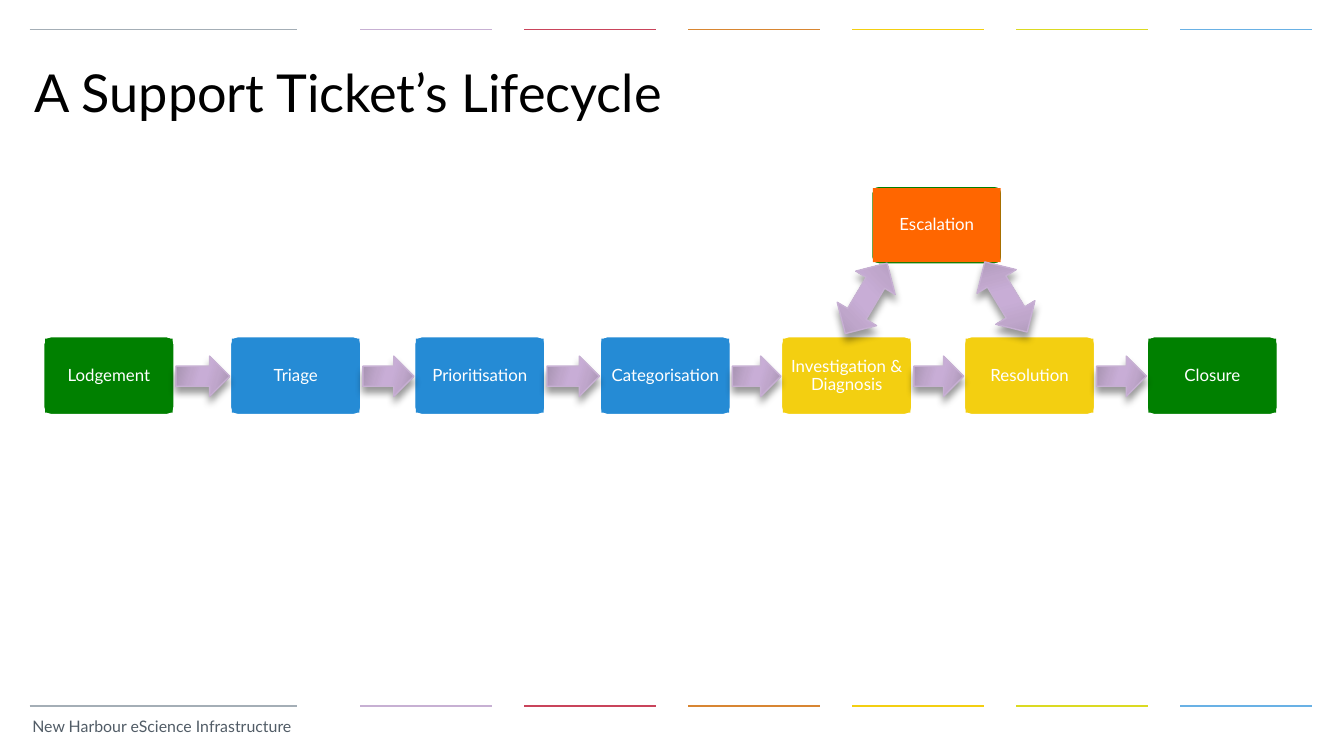
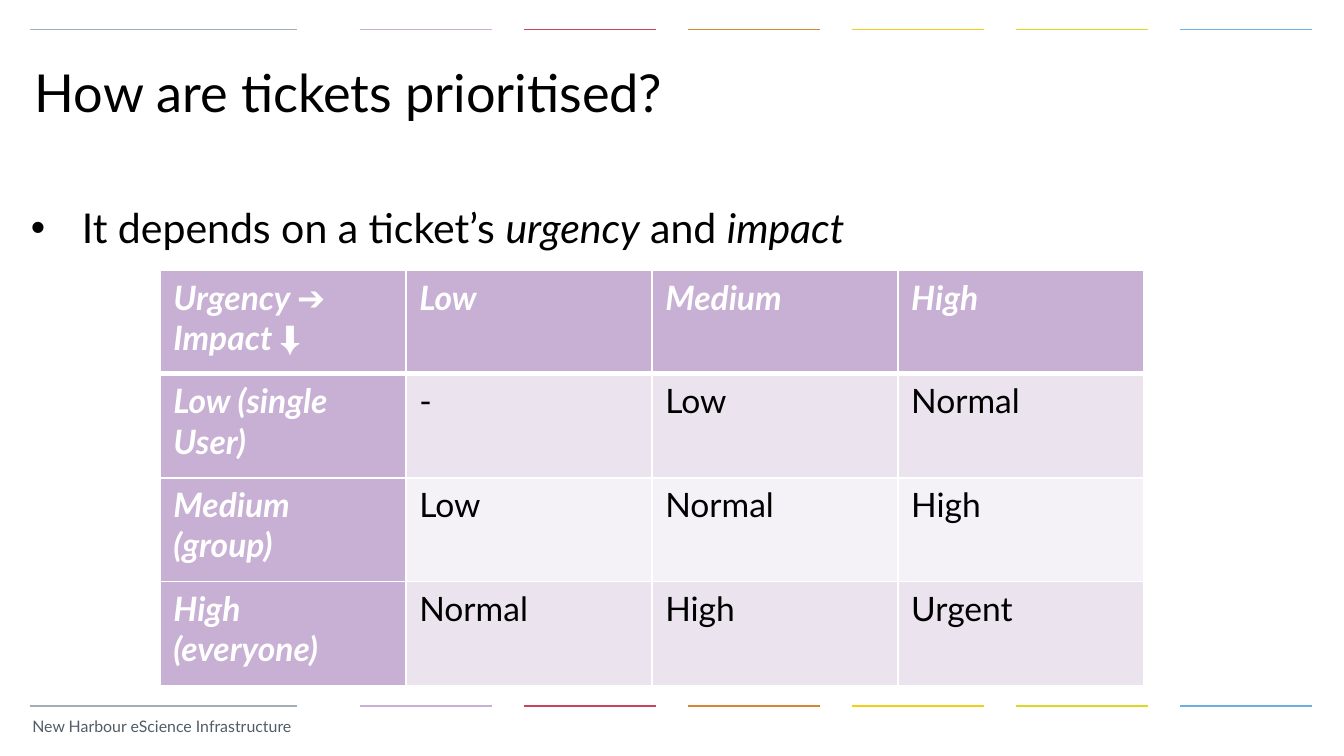
"""Build two slides on the lifecycle and the prioritisation of support tickets."""
from dataclasses import dataclass

from pptx import Presentation
from pptx.dml.color import RGBColor
from pptx.enum.shapes import MSO_CONNECTOR, MSO_SHAPE
from pptx.enum.text import MSO_ANCHOR, PP_ALIGN
from pptx.oxml import parse_xml
from pptx.oxml.ns import nsdecls
from pptx.util import Inches, Pt


@dataclass(frozen=True)
class Theme:
    """Colours, fonts and type sizes of the deck."""
    font: str = "Lato"
    symbol_font: str = "Arial"
    black: str = "000000"
    white: str = "FFFFFF"
    slate: str = "515C66"
    grey: str = "A4AEB6"
    lilac: str = "C7B0D3"
    green: str = "008000"
    blue: str = "258BD5"
    yellow: str = "F3CF11"
    orange: str = "FF6600"
    odd_row: str = "EBE4EF"
    even_row: str = "F5F2F7"
    title_size: float = 28
    body_size: float = 22
    table_size: float = 18
    box_size: float = 9
    footer_size: float = 8.5


THEME = Theme()

FOOTER = "New Harbour eScience Infrastructure"
BAND_COLOURS = [THEME.lilac, "C9445B", "D88632", THEME.yellow, "DBDA22", "69B1E5"]
BAND_TOPS = [0.22, 5.25]

LIFECYCLE_TITLE = "A Support Ticket’s Lifecycle"
STEPS = [
    ("Lodgement", 0.32, THEME.green),
    ("Triage", 1.71, THEME.blue),
    ("Prioritisation", 3.08, THEME.blue),
    ("Categorisation", 4.46, THEME.blue),
    ("Investigation & Diagnosis", 5.81, THEME.yellow),
    ("Resolution", 7.17, THEME.yellow),
    ("Closure", 8.53, THEME.green),
]
STEP_TOP = 2.5
BOX_WIDTH, BOX_HEIGHT = 0.98, 0.59
FACE_WIDTH, FACE_HEIGHT = 0.95, 0.55
ESCALATION_ARROWS = [(6.14, 2.05, 300.7), (7.18, 2.04, 58.8)]
ARROW_GRADIENT = [(0, "A390AD"), (30, "BFA6CB"), (45, "C8ADD6"),
                  (55, "C8ADD6"), (73, "BFA6CB"), (100, "A390AD")]

PRIORITY_TITLE = "How are tickets prioritised?"
SYMBOL = {"font": THEME.symbol_font, "italic": False}
PRIORITY_BULLET = [
    ("It depends on a ticket’s ", {}),
    ("urgency", {"italic": True}),
    (" and ", {}),
    ("impact", {"italic": True}),
]
PRIORITY_ROWS = [
    [[("Urgency ", {}), ("➔", SYMBOL), (" Impact ", {}), ("⬇", SYMBOL)],
     "Low", "Medium", "High"],
    ["Low (single User)", "-", "Low", "Normal"],
    ["Medium (group)", "Low", "Normal", "High"],
    ["High (everyone)", "Normal", "High", "Urgent"],
]


def write_text(frame, text, *, size, colour, bold=False, italic=False, align=None,
               spacing=None, margin=None, wrap=True, anchor=MSO_ANCHOR.TOP):
    """Write a string, or runs with their own overrides, as one paragraph."""
    if margin is not None:
        frame.margin_left = frame.margin_right = Inches(margin)
        frame.margin_top = frame.margin_bottom = Inches(margin)
    frame.word_wrap = wrap
    frame.vertical_anchor = anchor
    paragraph = frame.paragraphs[0]
    paragraph.alignment = align
    paragraph.line_spacing = spacing
    for content, changes in [(text, {})] if isinstance(text, str) else text:
        run = paragraph.add_run()
        run.text = content
        run.font.name = changes.get("font", THEME.font)
        run.font.size = Pt(size)
        run.font.bold = bold
        run.font.italic = changes.get("italic", italic)
        run.font.color.rgb = RGBColor.from_string(colour)
    return paragraph


def add_text(slide, text, left, top, width, height, **text_format):
    """Add a text box without insets."""
    box = slide.shapes.add_textbox(*map(Inches, (left, top, width, height)))
    return write_text(box.text_frame, text, margin=0, **text_format)


def add_band(slide, left, right, top, colour):
    """Draw one coloured rule."""
    band = slide.shapes.add_connector(
        MSO_CONNECTOR.STRAIGHT, *map(Inches, (left, top, right, top)))
    band.line.color.rgb = RGBColor.from_string(colour)
    band.line.width = Pt(1)
    band._element.spPr.append(parse_xml(f"<a:effectLst {nsdecls('a')}/>"))


def add_slide(presentation, title):
    """Add a slide with its bands, footer and title."""
    slide = presentation.slides.add_slide(presentation.slide_layouts[6])
    for top in BAND_TOPS:
        add_band(slide, 0.22, 2.21, top, THEME.grey)
        for index, colour in enumerate(BAND_COLOURS):
            left = 2.68 + 1.22 * index
            add_band(slide, left, left + 0.98, top, colour)
    add_text(slide, FOOTER, 0.24, 5.33, 1.98, 0.14, wrap=False,
             size=THEME.footer_size, colour=THEME.slate)
    add_text(slide, title, 0.26, 0.53, 7.32, 0.37, wrap=False,
             size=THEME.title_size, colour=THEME.black, spacing=Pt(THEME.title_size))
    return slide


def add_shape(shapes, kind, left, top, width, height, fill):
    """Add a filled preset shape without line or shadow."""
    shape = shapes.add_shape(kind, *map(Inches, (left, top, width, height)))
    shape.shadow.inherit = False
    shape.fill.solid()
    shape.fill.fore_color.rgb = RGBColor.from_string(fill)
    shape.line.fill.background()
    return shape


def outline(shape, colour, width):
    """Give a shape a solid outline."""
    shape.line.color.rgb = RGBColor.from_string(colour)
    shape.line.width = Pt(width)


def add_box(slide, label, left, top, face_colour, frame_colour):
    """Add a rounded frame with a labelled face centred on it."""
    shapes = slide.shapes.add_group_shape().shapes
    frame = add_shape(shapes, MSO_SHAPE.ROUNDED_RECTANGLE, left, top,
                      BOX_WIDTH, BOX_HEIGHT, frame_colour)
    frame.adjustments[0] = 0.1
    outline(frame, THEME.white, 1.5)
    face = add_shape(shapes, MSO_SHAPE.RECTANGLE,
                     left + (BOX_WIDTH - FACE_WIDTH) / 2,
                     top + (BOX_HEIGHT - FACE_HEIGHT) / 2,
                     FACE_WIDTH, FACE_HEIGHT, face_colour)
    write_text(face.text_frame, label, size=THEME.box_size, colour=THEME.white,
               align=PP_ALIGN.CENTER, spacing=0.9, margin=0.04,
               anchor=MSO_ANCHOR.MIDDLE)


def add_arrow(slide, kind, left, top, width, height):
    """Add a lilac gradient arrow with a soft shadow."""
    arrow = add_shape(slide.shapes, kind, left, top, width, height, THEME.lilac)
    outline(arrow, THEME.lilac, 0.75)
    stops = "".join(
        f'<a:gs pos="{position * 1000}"><a:srgbClr val="{colour}"/></a:gs>'
        for position, colour in ARROW_GRADIENT)
    gradient = parse_xml(
        f'<a:gradFill {nsdecls("a")} rotWithShape="1"><a:gsLst>{stops}</a:gsLst>'
        f'<a:lin ang="{16 * 60000}" scaled="0"/></a:gradFill>')
    shadow = parse_xml(
        f'<a:outerShdw {nsdecls("a")} blurRad="{Pt(4)}" dist="{Pt(3.4)}" '
        f'dir="{90 * 60000}" rotWithShape="0"><a:srgbClr val="{THEME.black}">'
        '<a:alpha val="40000"/></a:srgbClr></a:outerShdw>')
    properties = arrow._element.spPr
    solid = properties.find("{*}solidFill")
    properties.replace(solid, gradient)
    properties.find("{*}effectLst").append(shadow)
    return arrow


def set_borders(cell, bottom_width):
    """Draw white borders around a table cell."""
    properties = cell._tc.get_or_add_tcPr()
    widths = {"lnL": 1, "lnR": 1, "lnT": 1, "lnB": bottom_width}
    for index, (side, width) in enumerate(widths.items()):
        properties.insert(index, parse_xml(
            f'<a:{side} {nsdecls("a")} w="{Pt(width)}"><a:solidFill>'
            f'<a:srgbClr val="{THEME.white}"/></a:solidFill></a:{side}>'))


def build_lifecycle(presentation):
    """Draw the chain of ticket steps and the escalation loop."""
    slide = add_slide(presentation, LIFECYCLE_TITLE)
    for label, left, colour in STEPS:
        add_box(slide, label, left, STEP_TOP, colour, colour)
    add_box(slide, "Escalation", 6.48, 1.38, THEME.orange, THEME.green)
    for (_, left, _), (_, next_left, _) in zip(STEPS, STEPS[1:]):
        start = left + BOX_WIDTH + 0.01
        add_arrow(slide, MSO_SHAPE.RIGHT_ARROW, start, 2.65, next_left - start, 0.3)
    for left, top, rotation in ESCALATION_ARROWS:
        arrow = add_arrow(slide, MSO_SHAPE.LEFT_RIGHT_ARROW, left, top, 0.61, 0.34)
        arrow.adjustments[0] = 0.47
        arrow.rotation = rotation


def build_priorities(presentation):
    """Set the bullet and the table of urgency against impact."""
    slide = add_slide(presentation, PRIORITY_TITLE)
    bullet = add_text(slide, PRIORITY_BULLET, 0.23, 1.54, 8.32, 3.31,
                      size=THEME.body_size, colour=THEME.black, spacing=Pt(24))
    properties = bullet._p.get_or_add_pPr()
    properties.set("marL", str(Inches(0.38)))
    properties.set("indent", str(-Inches(0.38)))
    properties.append(parse_xml(f'<a:buFont {nsdecls("a")} typeface="Arial"/>'))
    properties.append(parse_xml(f'<a:buChar {nsdecls("a")} char="•"/>'))

    table = slide.shapes.add_table(
        len(PRIORITY_ROWS), len(PRIORITY_ROWS[0]),
        *map(Inches, (1.19, 2.01, 7.32, 3.09))).table
    table.first_row = table.horz_banding = False
    for row, values in enumerate(PRIORITY_ROWS):
        for column, value in enumerate(values):
            heading = row == 0 or column == 0
            row_colour = THEME.odd_row if row % 2 else THEME.even_row
            cell = table.cell(row, column)
            cell.fill.solid()
            cell.fill.fore_color.rgb = RGBColor.from_string(
                THEME.lilac if heading else row_colour)
            set_borders(cell, 3 if row == 0 else 1)
            write_text(cell.text_frame, value, size=THEME.table_size,
                       colour=THEME.white if heading else THEME.black,
                       bold=heading, italic=heading)


def main():
    """Build and save the presentation."""
    presentation = Presentation()
    presentation.slide_width = Inches(10)
    presentation.slide_height = Inches(10 * 9 / 16)
    build_lifecycle(presentation)
    build_priorities(presentation)
    presentation.save("out.pptx")


if __name__ == "__main__":
    main()
